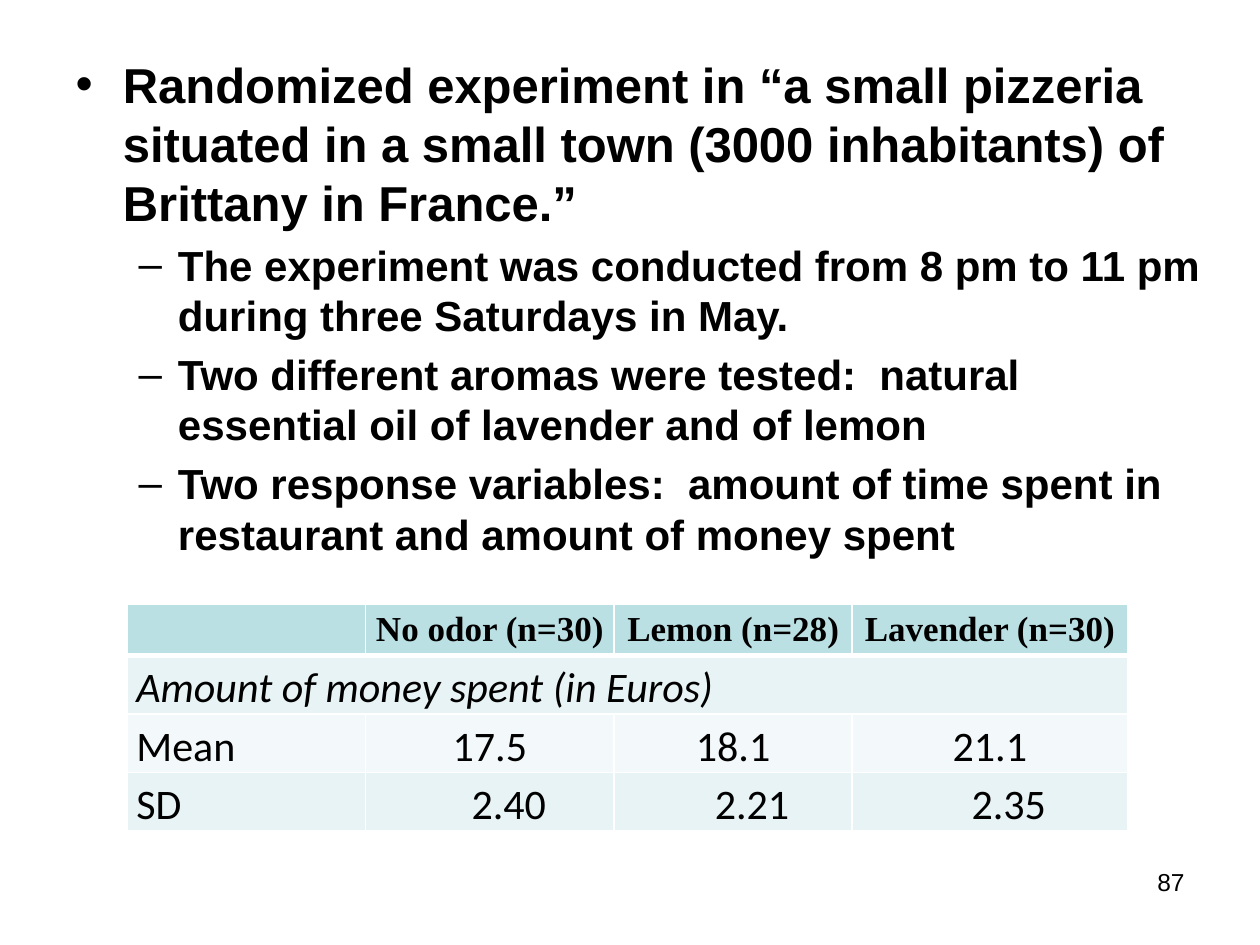
from lxml.etree import SubElement
from pptx import Presentation
from pptx.dml.color import RGBColor
from pptx.enum.text import PP_ALIGN as Align
from pptx.oxml.ns import qn
from pptx.util import Cm, Pt

THEME = {
    "text": "000000", "paper": "FFFFFF", "header": "BBE0E3",
    "band": "E7F3F4", "plain": "F3F9FA",
    "sans": "Arial", "serif": "Times New Roman", "table": "Calibri",
    "level_sizes": (28, 24), "header_size": 20, "cell_size": 24, "number_size": 14,
}

# (level, text); the bullets and indents come from the layout
POINTS = [
    (0, "Randomized experiment in “a small pizzeria situated in a small town "
        "(3000 inhabitants) of Brittany in France.”"),
    (1, "The experiment was conducted from 8 pm to 11 pm during three Saturdays in May."),
    (1, "Two different aromas were tested:  natural essential oil of lavender and of lemon"),
    (1, "Two response variables:  amount of time spent in restaurant and amount of money spent"),
]
RESULTS = [
    ["", "No odor (n=30)", "Lemon (n=28)", "Lavender (n=30)"],
    ["Amount of money spent (in Euros)", "", "", ""],
    ["Mean", "17.5", "18.1", "21.1"],
    ["SD", "2.40", "2.21", "2.35"],
]
HEADER_ROW, MEASURE_ROW, SD_ROW = 0, 1, 3
ROW_FILLS = ["header", "band", "plain", "band"]
ROW_HEIGHTS = [1.02, 1.18, 1.18, 1.18]
COLUMN_WIDTHS = [4.8, 5.01, 4.8, 5.55]
PAGE_NUMBER = "87"


def color(name):
    return RGBColor.from_string(THEME[name])


def add_run(paragraph, text, font, size, bold=False, italic=False):
    run = paragraph.add_run()
    run.text = text
    run.font.name = THEME[font]
    run.font.size = Pt(size)
    run.font.bold = bold
    run.font.italic = italic
    run.font.color.rgb = color("text")


def add_borders(cell, widths):
    """Draw white cell edges; widths are points for left, right, top, bottom."""
    properties = cell._tc.get_or_add_tcPr()
    for side, width in zip("LRTB", widths):
        line = SubElement(properties, qn(f"a:ln{side}"), w=str(Pt(width)))
        fill = SubElement(line, qn("a:solidFill"))
        SubElement(fill, qn("a:srgbClr"), val=THEME["paper"])


def add_points(slide):
    body = slide.placeholders[1]
    body.left, body.top, body.width, body.height = Cm(1.27), Cm(0.97), Cm(23.27), Cm(16.18)
    body.fill.solid()
    body.fill.fore_color.rgb = color("paper")
    paper = body._element.spPr.find(qn("a:solidFill")).find(qn("a:srgbClr"))
    SubElement(paper, qn("a:alpha"), val="90000")
    frame = body.text_frame
    for index, (level, text) in enumerate(POINTS):
        paragraph = frame.add_paragraph() if index else frame.paragraphs[0]
        paragraph.level = level
        add_run(paragraph, text, "sans", THEME["level_sizes"][level], bold=True)


def fill_cell(cell, row, column, text):
    header = row == HEADER_ROW
    cell.margin_left = cell.margin_right = Cm(0.18)
    cell.margin_top = cell.margin_bottom = 0
    if row == SD_ROW and column:
        cell.margin_left = Cm(0.94)  # sets the deviations right of the means
    add_borders(cell, (1, 1, 3 if row == MEASURE_ROW else 1, 3 if header else 1))
    cell.fill.solid()
    cell.fill.fore_color.rgb = color(ROW_FILLS[row])
    if not text:
        return
    paragraph = cell.text_frame.paragraphs[0]
    paragraph.alignment = Align.CENTER if column else Align.LEFT
    paragraph.line_spacing = 1.15
    if header:
        add_run(paragraph, text, "serif", THEME["header_size"], bold=True)
    else:
        add_run(paragraph, text, "table", THEME["cell_size"], italic=row == MEASURE_ROW)


def add_results(slide):
    table = slide.shapes.add_table(
        len(RESULTS), len(COLUMN_WIDTHS), Cm(2.57), Cm(12.19),
        Cm(sum(COLUMN_WIDTHS)), Cm(sum(ROW_HEIGHTS))).table
    for column, width in zip(table.columns, COLUMN_WIDTHS):
        column.width = Cm(width)
    for row, height in zip(table.rows, ROW_HEIGHTS):
        row.height = Cm(height)
    for row, texts in enumerate(RESULTS):
        for column, text in enumerate(texts):
            fill_cell(table.cell(row, column), row, column, text)
    table.cell(MEASURE_ROW, 0).merge(table.cell(MEASURE_ROW, len(COLUMN_WIDTHS) - 1))


def add_page_number(slide):
    frame = slide.shapes.add_textbox(Cm(18.21), Cm(17.35), Cm(5.92), Cm(1.32)).text_frame
    frame.word_wrap = True
    paragraph = frame.paragraphs[0]
    paragraph.alignment = Align.RIGHT
    add_run(paragraph, PAGE_NUMBER, "sans", THEME["number_size"])


def main():
    presentation = Presentation()
    presentation.slide_width, presentation.slide_height = Cm(25.4), Cm(19.05)
    slide = presentation.slides.add_slide(presentation.slide_layouts.get_by_name("Title and Content"))
    title = slide.shapes.title._element
    title.getparent().remove(title)
    add_points(slide)
    add_page_number(slide)
    add_results(slide)
    presentation.save("out.pptx")


if __name__ == "__main__":
    main()
